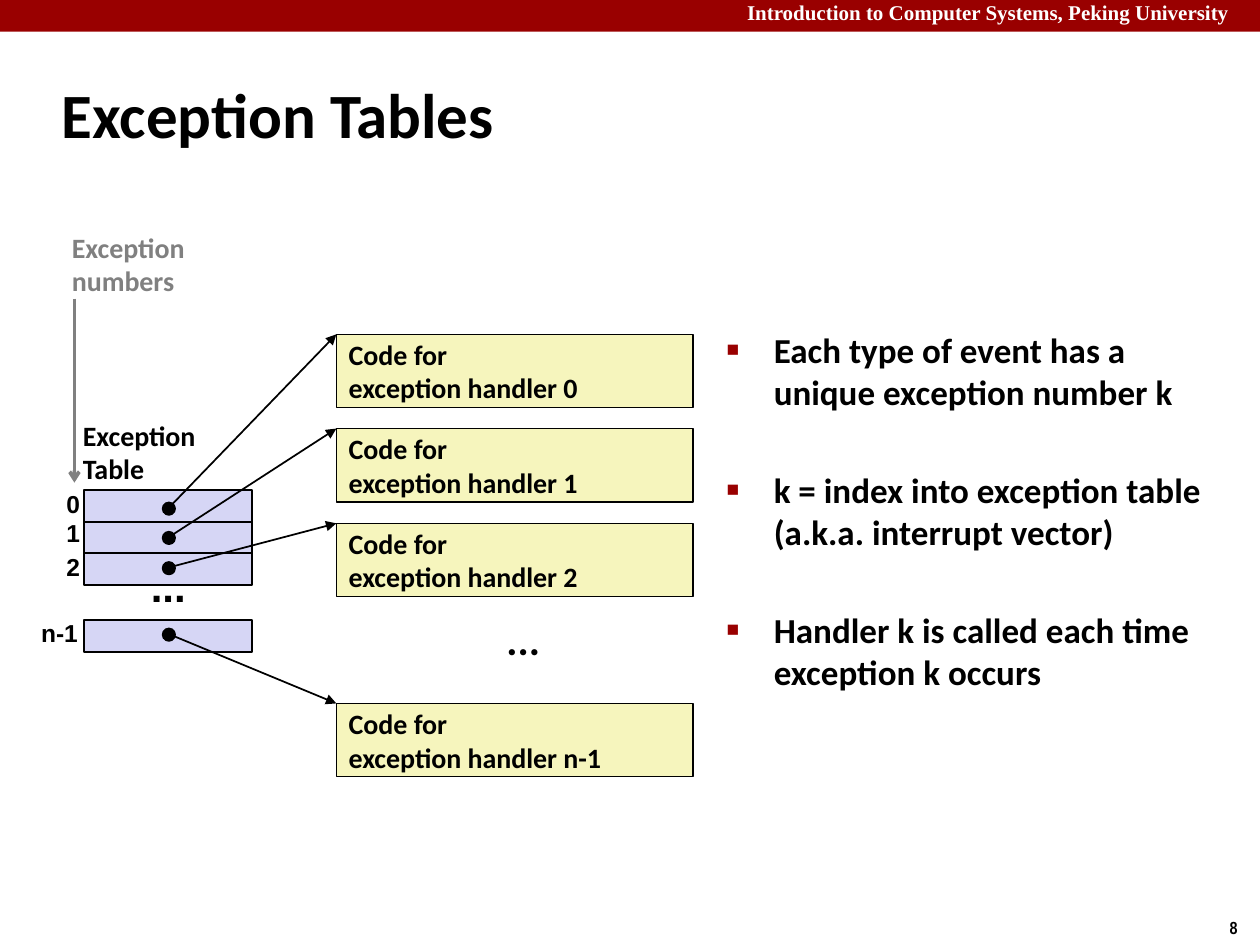
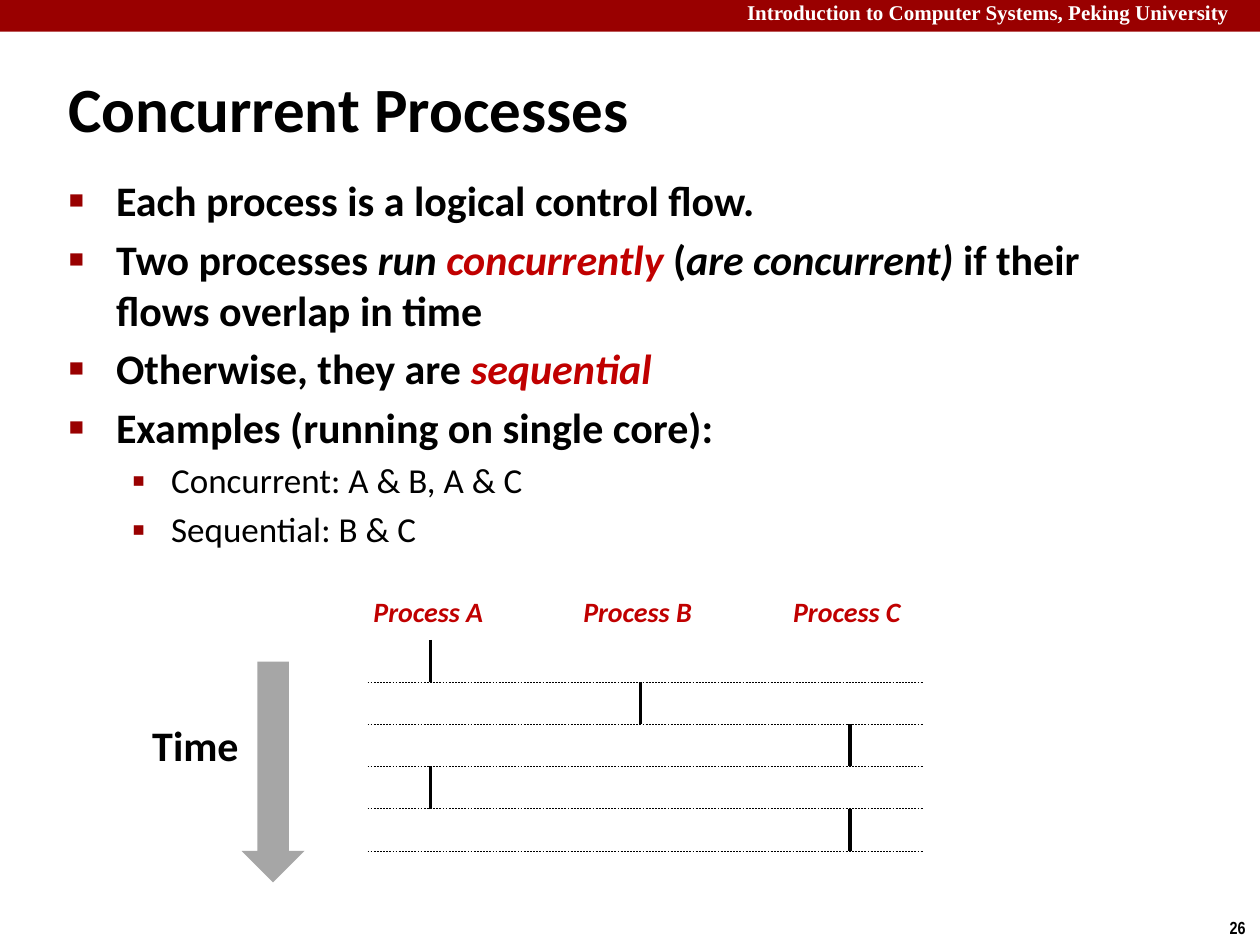
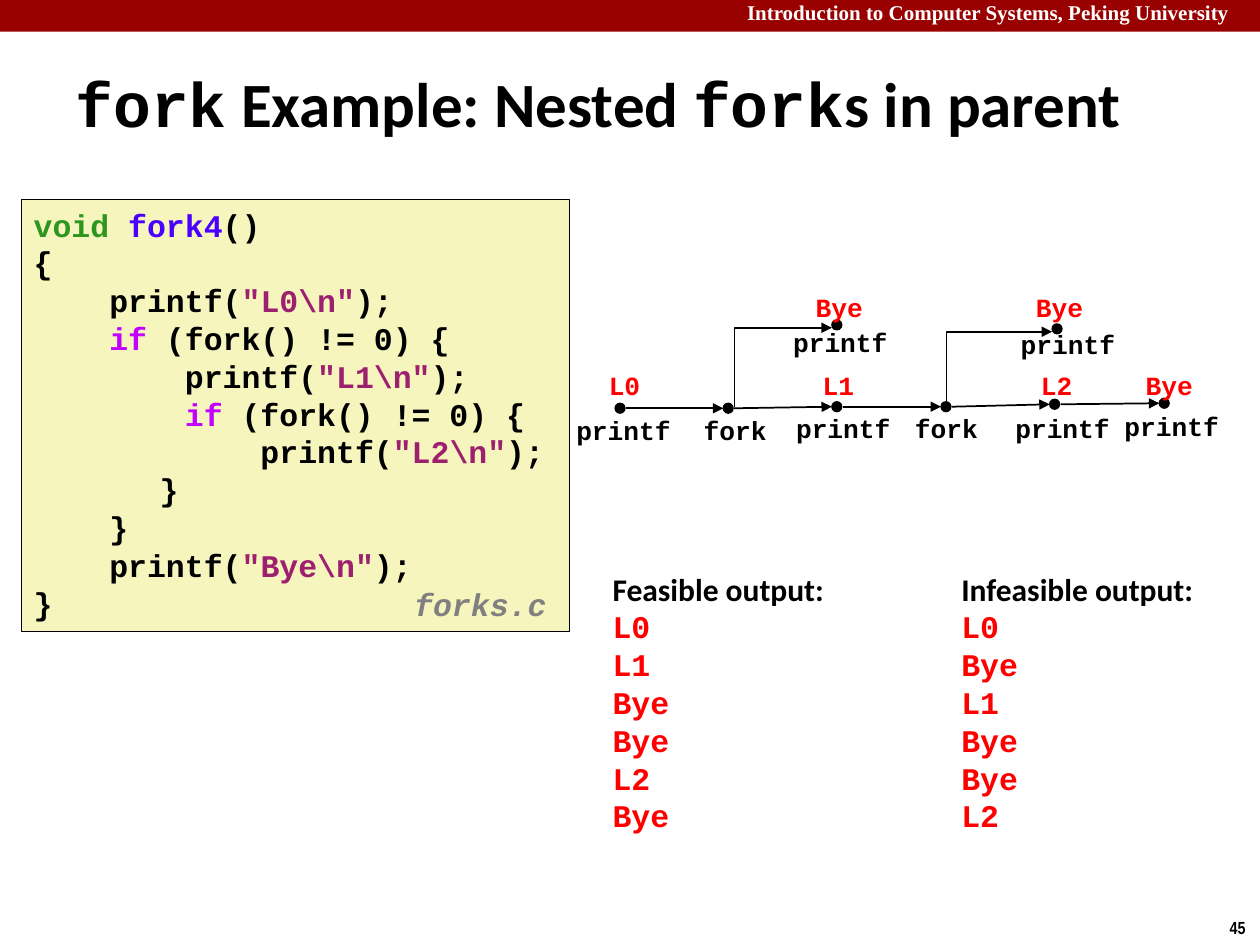
from dataclasses import dataclass, replace

from lxml import etree
from pptx import Presentation
from pptx import util as u
from pptx.dml.color import RGBColor
from pptx.enum import dml, shapes, text
from pptx.oxml.ns import qn

# Colours and fonts
RED = RGBColor(0x99, 0x00, 0x00)
ACCENT = RGBColor(0xC0, 0x00, 0x00)
BRIGHT = RGBColor(0xFF, 0x00, 0x00)
BLACK = RGBColor(0x00, 0x00, 0x00)
WHITE = RGBColor(0xFF, 0xFF, 0xFF)
GRAY = RGBColor(0x80, 0x80, 0x80)
SILVER = RGBColor(0xA6, 0xA6, 0xA6)
LILAC = RGBColor(0xD6, 0xD6, 0xF5)
CREAM = RGBColor(0xF6, 0xF5, 0xBD)
GREEN = RGBColor(0x2D, 0x96, 0x1E)
BLUE = RGBColor(0x4A, 0x00, 0xFF)
VIOLET = RGBColor(0xC2, 0x00, 0xFF)
PLUM = RGBColor(0x9D, 0x20, 0x6F)
SANS, MONO, ARIAL = "Calibri", "Courier New", "Arial"

RECT = shapes.MSO_SHAPE.RECTANGLE
OVAL = shapes.MSO_SHAPE.OVAL
LEFT, MID = text.PP_ALIGN.LEFT, text.PP_ALIGN.CENTER


@dataclass(frozen=True)
class Style:
    size: float
    font: str = SANS
    color: RGBColor = BLACK
    bold: bool = True
    italic: bool = False


@dataclass(frozen=True)
class Run:
    text: str
    style: Style


@dataclass(frozen=True)
class Box:
    x: float
    y: float
    w: float
    h: float

    def emu(self) -> list[u.Cm]:
        return [u.Cm(v) for v in (self.x, self.y, self.w, self.h)]


@dataclass(frozen=True)
class Bullet:
    mark: str
    scale: int
    left: float
    hang: float


@dataclass(frozen=True)
class Entry:
    name: str
    tag: Box
    row: float
    dot: float
    code: float


@dataclass(frozen=True)
class Node:
    x: float
    y: float
    mid: float
    top: float
    call: str
    out: str = ""
    omid: float = 0
    otop: float = 7.32


HEAD = Style(36)
TEXT = Style(16)
TOP = Bullet("■", 60, 0.95, 0.95)
SUB = Bullet("▪", 110, 2.06, 0.79)


# Shared drawing functions
def add(para, runs: list[Run]) -> None:
    for item in runs:
        for i, part in enumerate(item.text.split("\n")):
            if i:
                para.add_line_break()
            run = para.add_run()
            run.text = part
            font, style = run.font, item.style
            font.name, font.size = style.font, u.Pt(style.size)
            font.bold, font.italic = style.bold, style.italic
            font.color.rgb = style.color


def fill(frame, paras: list[list[Run]], align=LEFT) -> list:
    made = []
    for i, runs in enumerate(paras):
        para = frame.paragraphs[0] if i == 0 else frame.add_paragraph()
        para.alignment = align
        add(para, runs)
        made.append(para)
    return made


def label(slide, box: Box, paras: list[list[Run]], wrap: bool = False,
          align=LEFT, anchor=text.MSO_ANCHOR.TOP, grow: bool = True) -> list:
    frame = slide.shapes.add_textbox(*box.emu()).text_frame
    frame.word_wrap = wrap
    frame.vertical_anchor = anchor
    if grow:
        frame.auto_size = text.MSO_AUTO_SIZE.SHAPE_TO_FIT_TEXT
    return fill(frame, paras, align)


def shape(slide, kind, box: Box, color: RGBColor, width: float = 0):
    item = slide.shapes.add_shape(kind, *box.emu())
    item.shadow.inherit = False
    item.fill.solid()
    item.fill.fore_color.rgb = color
    if width:
        item.line.color.rgb = BLACK
        item.line.width = u.Pt(width)
    else:
        item.line.fill.background()
    return item


def line(slide, x1: float, y1: float, x2: float, y2: float, width: float = 1,
         color: RGBColor = BLACK, tip: str = "", dash: bool = False):
    item = slide.shapes.add_connector(
        shapes.MSO_CONNECTOR.STRAIGHT, *[u.Cm(v) for v in (x1, y1, x2, y2)])
    item.line.color.rgb = color
    item.line.width = u.Pt(width)
    if dash:
        item.line.dash_style = dml.MSO_LINE.DASH
    props = item.element.spPr
    if tip:
        etree.SubElement(props.find(qn("a:ln")), qn("a:tailEnd"), type=tip)
    etree.SubElement(props, qn("a:effectLst"))
    return item


def elbow(slide, x1: float, y1: float, x2: float, y2: float) -> None:
    """Arrow that goes up from the first point, then right to the second."""
    cx, cy = (x1 + x2) / 2, (y1 + y2) / 2
    a, b = (y1 - y2) / 2, (x2 - x1) / 2
    item = line(slide, cx + a, cy + b, cx - a, cy - b, tip="triangle")
    props = item.element.spPr
    props.find(qn("a:xfrm")).set("rot", "5400000")
    props.find(qn("a:prstGeom")).set("prst", "bentConnector2")


def bullet(para, mark: Bullet, gap: float) -> None:
    props = para._p.get_or_add_pPr()
    props.set("marL", str(u.Cm(mark.left)))
    props.set("indent", str(-u.Cm(mark.hang)))
    if gap:
        para.space_before = u.Pt(gap)
    tint = etree.SubElement(props, qn("a:buClr"))
    etree.SubElement(tint, qn("a:srgbClr"), val=str(RED))
    etree.SubElement(props, qn("a:buSzPct"), val=str(mark.scale * 1000))
    etree.SubElement(props, qn("a:buFont"), typeface=ARIAL)
    etree.SubElement(props, qn("a:buChar"), char=mark.mark)


def start(deck, page: int, box: Box, runs: list[Run]):
    """Slide with its band, course name, page number and title."""
    slide = deck.slides.add_slide(deck.slide_layouts[5])
    shape(slide, RECT, Box(0, 0, 25.4, 0.64), RED)
    course = Style(12, "Times New Roman", WHITE)
    label(slide, Box(14.81, -0.13, 10.59, 0.76),
          [[Run("Introduction to Computer Systems, Peking University", course)]],
          wrap=True)
    label(slide, Box(24.54, 18.36, 0.86, 0.69),
          [[Run(str(page), Style(10, "Arial Narrow"))]])
    title = slide.shapes.title
    title.left, title.top, title.width, title.height = box.emu()
    frame = title.text_frame
    frame.auto_size = text.MSO_AUTO_SIZE.NONE
    frame.vertical_anchor = text.MSO_ANCHOR.MIDDLE
    fill(frame, [runs])
    return slide


# Exception tables
ENTRIES = [
    Entry("0", Box(1.09, 9.73, 0.79, 0.84), 9.88, 10.13, 6.74),
    Entry("1", Box(1.09, 10.31, 0.79, 0.84), 10.52, 10.72, 8.64),
    Entry("2", Box(1.09, 11, 0.79, 0.84), 11.15, 11.33, 10.55),
    Entry("n-1", Box(0.58, 12.34, 1.32, 0.84), 12.5, 12.67, 14.18),
]


def tables(deck) -> None:
    slide = start(deck, 8, Box(0.99, 1.22, 21.08, 2.11),
                  [Run("Exception Tables", HEAD)])
    mid = text.MSO_ANCHOR.MIDDLE

    # Table rows and handlers
    for e in ENTRIES:
        shape(slide, RECT, Box(1.7, e.row, 3.38, 0.64), LILAC, 1)
        label(slide, e.tag, [[Run(e.name, Style(14, ARIAL))]], anchor=mid)
        code = shape(slide, RECT, Box(6.78, e.code, 7.19, 1.48), CREAM, 0.75)
        code.text_frame.word_wrap = False
        code.text_frame.vertical_anchor = mid
        fill(code.text_frame, [[Run("Code for", TEXT)],
                               [Run(f"exception handler {e.name}", TEXT)]])
    for e in ENTRIES:
        shape(slide, OVAL, Box(3.28, e.dot, 0.25, 0.25), BLACK, 1)
        line(slide, 3.4, e.dot + 0.11, 6.78, e.code, tip="triangle")
    for x, y, font in ((2.79, 11.18, ARIAL), (9.96, 12.24, SANS)):
        label(slide, Box(x, y, 1.22, 1.27), [[Run("...", Style(24, font))]],
              anchor=mid)

    # Captions and number arrow
    pale = replace(TEXT, color=GRAY)
    label(slide, Box(1.42, 8.31, 2.82, 1.63),
          [[Run("Exception", TEXT)], [Run("Table", TEXT)]])
    label(slide, Box(1.2, 4.52, 2.95, 1.63),
          [[Run("Exception", pale)], [Run("numbers", pale)]])
    line(slide, 1.5, 6.02, 1.5, 9.73, 2, GRAY, "arrow")

    # Points
    points = ["Each type of event has a \nunique exception number k",
              "k = index into exception table \n(a.k.a. interrupt vector)",
              "Handler k is called each time \nexception k occurs"]
    made = label(slide, Box(14.4, 6.5, 10.59, 8.94),
                 [[Run(p, Style(20))] for p in points], wrap=True, grow=False)
    for i, para in enumerate(made):
        bullet(para, TOP, 32 if i else 0)


# Concurrent processes
def flows(deck) -> None:
    slide = start(deck, 26, Box(1.12, 1.37, 16.87, 1.6),
                  [Run("Concurrent Processes", HEAD)])
    main = Style(24)
    slant = replace(main, italic=True)
    term = replace(slant, color=ACCENT)
    small = Style(20, bold=False)
    paras = [
        [Run("Each process is a logical control flow.", main)],
        [Run("Two processes ", main), Run("run ", slant),
         Run("concurrently", term), Run(" (", main),
         Run("are concurrent)", slant),
         Run(" if their flows overlap in time", main)],
        [Run("Otherwise, they are ", main), Run("sequential", term)],
        [Run("Examples (running on single core):", main)],
        [Run("Concurrent: A & B, A & C", small)],
        [Run("Sequential: B & C", small)],
    ]
    made = label(slide, Box(1.14, 3.4, 21.95, 7.19), paras, wrap=True,
                 grow=False)
    for i, para in enumerate(made):
        size = paras[i][0].style.size
        bullet(para, TOP if size == 24 else SUB, size * 0.2 if i else 0)

    # Time slices
    cols = {name: 8.68 + 4.23 * i for i, name in enumerate("ABC")}
    for name, x in cols.items():
        label(slide, Box(x - 1.4, 11.86, 2.77, 0.94),
              [[Run(f"Process {name}", Style(16, color=ACCENT, italic=True))]])
    step = 0.85
    for i, name in enumerate("ABCAC"):
        y = 12.9 + step * i
        line(slide, cols[name], y, cols[name], y + step, 2)
        line(slide, 7.41, y + step, 18.62, y + step, 0.25, dash=True)

    # Time axis
    label(slide, Box(2.82, 14.38, 2.26, 1.27), [[Run("Time", main)]], wrap=True)
    shape(slide, shapes.MSO_SHAPE.DOWN_ARROW, Box(4.87, 13.34, 1.27, 4.45),
          SILVER)


# Nested forks
CODE = [
    [("void ", GREEN), ("fork4", BLUE), ("()", BLACK)],
    [("{", BLACK)],
    [("    printf(", BLACK), ('"L0\\n"', PLUM), (");", BLACK)],
    [("    ", BLACK), ("if", VIOLET), (" (fork() != 0) {", BLACK)],
    [("        printf(", BLACK), ('"L1\\n"', PLUM), (");", BLACK)],
    [("        ", BLACK), ("if", VIOLET), (" (fork() != 0) {", BLACK)],
    [("            printf(", BLACK), ('"L2\\n"', PLUM), (");", BLACK)],
    [("\t}", BLACK)],
    [("    }", BLACK)],
    [("    printf(", BLACK), ('"Bye\\n"', PLUM), (");", BLACK)],
    [("}", BLACK)],
]
CHAIN = [
    Node(12.4, 8.13, 12.57, 8.23, "printf", "L0", 12.59),
    Node(14.58, 8.13, 14.82, 8.23, "fork"),
    Node(16.77, 8.1, 17, 8.18, "printf", "L1", 16.9),
    Node(18.97, 8.1, 19.08, 8.18, "fork"),
    Node(21.16, 8.05, 21.42, 8.18, "printf", "L2", 21.3),
    Node(23.37, 8.03, 23.62, 8.15, "printf", "Bye", 23.57),
]
KIDS = [
    Node(16.77, 6.45, 16.94, 6.45, "printf", "Bye", 16.92, 5.74),
    Node(21.21, 6.53, 21.53, 6.5, "printf", "Bye", 21.36, 5.74),
]


def forks(deck) -> None:
    mono = replace(HEAD, font=MONO)
    slide = start(deck, 45, Box(1.27, 1.27, 22.3, 1.6),
                  [Run("fork", mono), Run(" Example: Nested ", HEAD),
                   Run("fork", mono), Run("s in parent", HEAD)])

    # Code listing
    frame = shape(slide, RECT, Box(0.43, 4.02, 11.05, 8.71), CREAM,
                  0.25).text_frame
    frame.word_wrap = False
    frame.vertical_anchor = text.MSO_ANCHOR.TOP
    frame.auto_size = text.MSO_AUTO_SIZE.SHAPE_TO_FIT_TEXT
    made = fill(frame, [[Run(t, Style(18, MONO, c)) for t, c in row]
                        for row in CODE])
    for para, row in zip(made, CODE):
        if row[0][0].startswith("\t"):
            tabs = etree.SubElement(para._p.get_or_add_pPr(), qn("a:tabLst"))
            etree.SubElement(tabs, qn("a:tab"), pos=str(u.Cm(2.54)), algn="l")
    name = label(slide, Box(8.1, 11.74, 3.35, 0.99),
                 [[Run("forks.c", Style(18, MONO, GRAY, italic=True))]])
    name[0].line_spacing = 0.94

    # Process graph
    for a, b in zip(CHAIN, CHAIN[1:]):
        line(slide, a.x + 0.22, a.y + 0.1, b.x, b.y + 0.1, tip="triangle")
    for x, kid in zip((14.81, 19.08), KIDS):
        elbow(slide, x, 8.2, kid.x, kid.y + 0.16)
    for n in CHAIN + KIDS:
        shape(slide, OVAL, Box(n.x, n.y, 0.2, 0.2), BLACK, 0.75)
        notes = [(n.call, n.mid, n.top, BLACK), (n.out, n.omid, n.otop, BRIGHT)]
        for word, mid, top, color in notes:
            if word:
                label(slide, Box(mid - 1.3, top, 2.6, 0.89),
                      [[Run(word, Style(15, MONO, color))]], wrap=True,
                      align=MID)

    # Outputs
    for x, w, head, words in (
            (12.1, 4.85, "Feasible", "L0 L1 Bye Bye L2 Bye"),
            (19.13, 5.26, "Infeasible", "L0 Bye L1 Bye Bye L2")):
        label(slide, Box(x, 11.36, w, 5.64),
              [[Run(f"{head} output:", Style(18))]]
              + [[Run(t, Style(18, MONO, BRIGHT))] for t in words.split()])


def main() -> None:
    deck = Presentation()
    deck.slide_width, deck.slide_height = u.Cm(25.4), u.Cm(19.05)
    tables(deck)
    flows(deck)
    forks(deck)
    deck.save("out.pptx")


if __name__ == "__main__":
    main()
